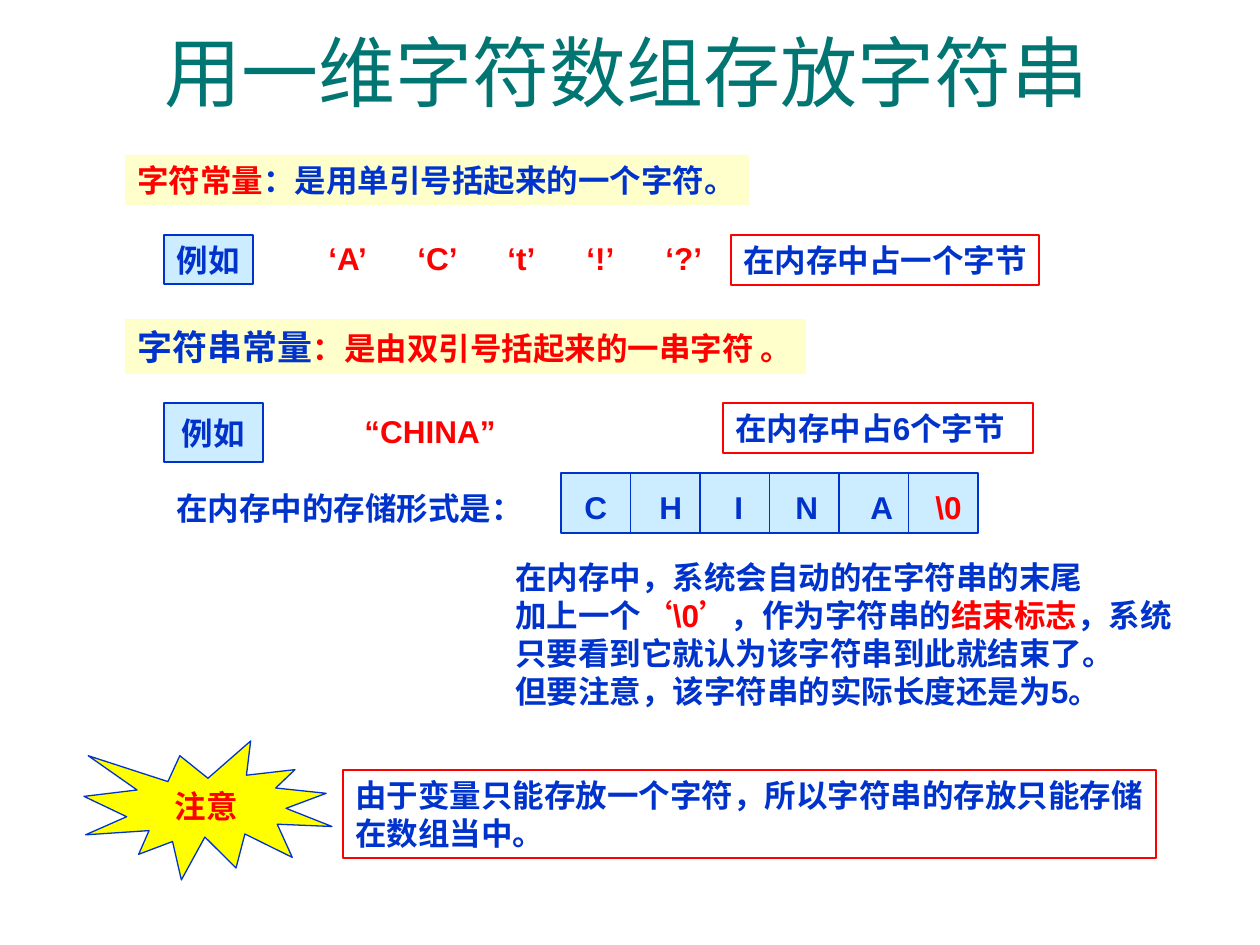
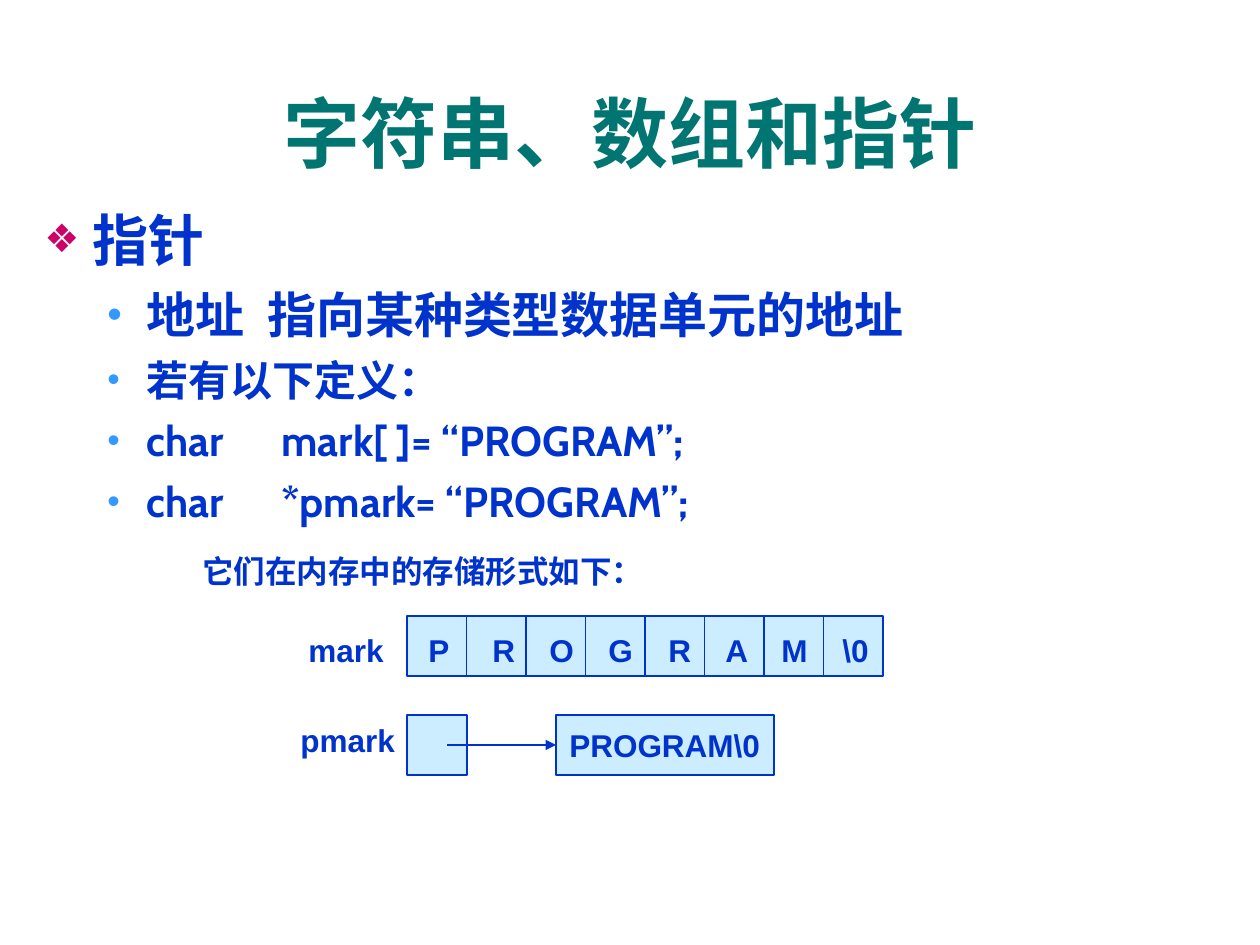
from lxml.etree import SubElement
from pptx import Presentation
from pptx.dml.color import RGBColor
from pptx.enum.shapes import MSO_CONNECTOR as Connector, MSO_SHAPE as Shape
from pptx.enum.text import MSO_ANCHOR as Anchor, PP_ALIGN as Align
from pptx.oxml.ns import qn
from pptx.util import Emu, Pt

BLUE, RED, TEAL = "0033CC", "FF0000", "007572"
CREAM, SKY, YELLOW = "FFFFCC", "CCECFF", "FFFF00"
PINK, LIGHT_BLUE = "CC0066", "3399FF"
PX_PER_INCH = 126
CELL_HEIGHT = 60
LINE_WIDTH = 0.75

STRING_TITLE = ("用一维字符数组存放字符串", (39, 25, 1177, 91))
POINTER_TITLE = ("字符串、数组和指针", (42, 53, 1177, 158))

DEFINITIONS = [
    ([("字符常量", RED, 18), ("：是用单引号括起来的一个字符。", BLUE, 18)], (125, 155, 624, 50)),
    ([("字符串常量", BLUE, 20), ("：是由双引号括起来的一串字符 。", RED, 18)], (125, 319, 681, 55)),
]
EXAMPLE_TAGS = [("例如", (164, 235, 89, 49)), ("例如", (164, 403, 99, 59))]
EXAMPLES = [
    ("‘A’\t‘C’\t‘t’\t‘!’\t‘?’", (316, 233, 408, 50), [89, 179, 258, 337]),
    ("“CHINA”", (352, 406, 156, 50), []),
]
BYTE_NOTES = [
    ("在内存中占一个字节", (731, 235, 308, 50)),
    ("在内存中占6个字节", (723, 403, 310, 50)),
]
STORAGE_LABEL = ("在内存中的存储形式是：", (164, 483, 372, 50))
CHINA_ARRAY = {
    "letters": [("C\tH\tI\tN\tA\t", BLUE, 18), ("\\0", RED, 18)],
    "tabs": [75, 150, 211, 286, 351],
    "box": (561, 473, 417, CELL_HEIGHT),
    "text_box": (572, 482, 404, 50),
    "cells": 6,
}
TERMINATOR_NOTE = [
    "在内存中，系统会自动的在字符串的末尾",
    [("加上一个", BLUE, 18), ("‘\\0’", RED, 18), ("，作为字符串的", BLUE, 18),
     ("结束标志", RED, 18), ("，系统", BLUE, 18)],
    "只要看到它就认为该字符串到此就结束了。",
    "但要注意，该字符串的实际长度还是为5。",
]
TERMINATOR_BOX = (503, 552, 671, 164)
WARNING = ("注意", (84, 741, 248, 139))
WARNING_TEXT = ["由于变量只能存放一个字符，所以字符串的存放只能存储", "在数组当中。"]
WARNING_BOX = (343, 770, 813, 88)

POINTER_LINES = [
    ("指针", 32, 0, 0, []),
    ("地址\t指向某种类型数据单元的地址", 28, 7, 1, [223]),
    ("若有以下定义：", 24, 6, 1, []),
    ("char\tmark[ ]= “PROGRAM”;", 24, 6, 1, [237]),
    ("char\t*pmark= “PROGRAM”;", 24, 6, 1, [237]),
]
BULLETS = [("❖", PINK, 70, 48, -48), ("•", LIGHT_BLUE, 85, 102, -39)]
POINTER_BOX = (32, 199, 1177, 536)
POINTER_LABELS = [
    ("它们在内存中的存储形式如下：", (190, 546, 466, 50)),
    ("mark", (296, 625, 101, 50)),
    ("pmark", (288, 715, 120, 50)),
]
PROGRAM_ARRAY = {
    "letters": [("P\tR\tO\tG\tR\tA\tM\t\\0", BLUE, 18)],
    "tabs": [64, 121, 180, 240, 297, 353, 414],
    "box": (407, 616, 476, CELL_HEIGHT),
    "text_box": (416, 625, 470, 50),
    "cells": 8,
}
POINTER_CELL = (407, 715, 60, CELL_HEIGHT)
POINTER_TARGET = ("PROGRAM\\0", (556, 715, 218, CELL_HEIGHT))
ARROW_START = 447


def px(length):
    return Emu(round(length * 914400 / PX_PER_INCH))


def rgb(color):
    return RGBColor.from_string(color)


def write_paragraph(paragraph, runs, size=18, color=BLUE, bold=True, font="Arial",
                    align=Align.LEFT, space=0, bullet=None, tabs=()):
    paragraph.alignment = align
    paragraph.space_before = Pt(space)
    properties = paragraph._p.get_or_add_pPr()
    if bullet:
        symbol, bullet_color, percent, margin, indent = bullet
        properties.set("marL", str(px(margin)))
        properties.set("indent", str(px(indent)))
        bullet_fill = SubElement(properties, qn("a:buClr"))
        SubElement(bullet_fill, qn("a:srgbClr"), val=bullet_color)
        SubElement(properties, qn("a:buSzPct"), val=str(percent * 1000))
        SubElement(properties, qn("a:buFont"), typeface="Arial")
        SubElement(properties, qn("a:buChar"), char=symbol)
    if tabs:
        tab_list = SubElement(properties, qn("a:tabLst"))
        for position in tabs:
            SubElement(tab_list, qn("a:tab"), pos=str(px(position)), algn="l")
    if isinstance(runs, str):
        runs = [(runs, color, size)]
    for text, run_color, run_size in runs:
        run = paragraph.add_run()
        run.text = text
        run.font.size = Pt(run_size)
        run.font.name = font
        run.font.bold = bold
        run.font.color.rgb = rgb(run_color)


def prepare_frame(shape, anchor=Anchor.TOP, right=0):
    frame = shape.text_frame
    frame.word_wrap = True
    frame.vertical_anchor = anchor
    frame.margin_right = px(right)
    return frame


def add_box(slide, box, fill=None, line=None, kind=Shape.RECTANGLE):
    shape = slide.shapes.add_shape(kind, *map(px, box))
    shape.shadow.inherit = False
    if fill:
        shape.fill.solid()
        shape.fill.fore_color.rgb = rgb(fill)
    else:
        shape.fill.background()
    if line:
        shape.line.color.rgb = rgb(line)
        shape.line.width = Pt(LINE_WIDTH)
    else:
        shape.line.fill.background()
    return shape


def add_text(slide, paragraphs, box, fill=None, line=None, kind=Shape.RECTANGLE,
             centred=False, **text_format):
    if fill or line:
        shape = add_box(slide, box, fill, line, kind)
    else:
        shape = slide.shapes.add_textbox(*map(px, box))
    if centred:
        frame = prepare_frame(shape, Anchor.MIDDLE, 13)
        text_format["align"] = Align.CENTER
    else:
        frame = prepare_frame(shape)
    if isinstance(paragraphs, str):
        paragraphs = [paragraphs]
    for index, runs in enumerate(paragraphs):
        paragraph = frame.add_paragraph() if index else frame.paragraphs[0]
        write_paragraph(paragraph, runs, **text_format)
    return shape


def add_title(slide, title, bold):
    add_text(slide, *title, centred=True, size=44, color=TEAL, font="Cabin", bold=bold)


def add_line(slide, start, end, arrow=False):
    connector = slide.shapes.add_connector(Connector.STRAIGHT, *map(px, start + end))
    connector.line.color.rgb = rgb(BLUE)
    connector.line.width = Pt(LINE_WIDTH)
    if arrow:
        SubElement(connector.line._get_or_add_ln(), qn("a:tailEnd"), type="triangle")
    SubElement(connector._element.spPr, qn("a:effectLst"))
    return connector


def add_array(slide, array):
    left, top, width, height = array["box"]
    add_box(slide, array["box"], SKY, BLUE)
    for index in range(1, array["cells"]):
        divider = left + width * index / array["cells"]
        add_line(slide, (divider, top), (divider, top + height))
    add_text(slide, [array["letters"]], array["text_box"], tabs=array["tabs"])


def build_string_slide(slide):
    add_title(slide, STRING_TITLE, bold=False)
    for runs, box in DEFINITIONS:
        add_text(slide, [runs], box, fill=CREAM)
    for text, box in EXAMPLE_TAGS:
        add_text(slide, text, box, fill=SKY, line=BLUE, centred=True)
    for text, box, tabs in EXAMPLES:
        add_text(slide, text, box, color=RED, tabs=tabs)
    for text, box in BYTE_NOTES:
        add_text(slide, text, box, line=RED)
    add_text(slide, *STORAGE_LABEL)
    add_array(slide, CHINA_ARRAY)
    add_text(slide, TERMINATOR_NOTE, TERMINATOR_BOX)
    add_text(slide, *WARNING, fill=YELLOW, line=BLUE, kind=Shape.EXPLOSION1,
             centred=True, color=RED)
    add_text(slide, WARNING_TEXT, WARNING_BOX, line=RED)


def build_pointer_slide(slide):
    add_title(slide, POINTER_TITLE, bold=True)
    frame = prepare_frame(slide.shapes.add_textbox(*map(px, POINTER_BOX)))
    for index, (text, size, space, level, tabs) in enumerate(POINTER_LINES):
        paragraph = frame.add_paragraph() if index else frame.paragraphs[0]
        paragraph.level = level
        write_paragraph(paragraph, text, size=size, font="Cabin", space=space,
                        bullet=BULLETS[level], tabs=tabs)
    for text, box in POINTER_LABELS:
        add_text(slide, text, box)
    add_array(slide, PROGRAM_ARRAY)
    add_box(slide, POINTER_CELL, SKY, BLUE)
    target = add_text(slide, *POINTER_TARGET, fill=SKY, line=BLUE, centred=True)
    left, top, _, height = POINTER_TARGET[1]
    middle = top + height / 2
    arrow = add_line(slide, (ARROW_START, middle), (left, middle), arrow=True)
    arrow.end_connect(target, 1)


def main():
    presentation = Presentation()
    presentation.slide_width, presentation.slide_height = px(1260), px(945)
    for build in (build_string_slide, build_pointer_slide):
        build(presentation.slides.add_slide(presentation.slide_layouts[6]))
    presentation.save("out.pptx")


if __name__ == "__main__":
    main()
